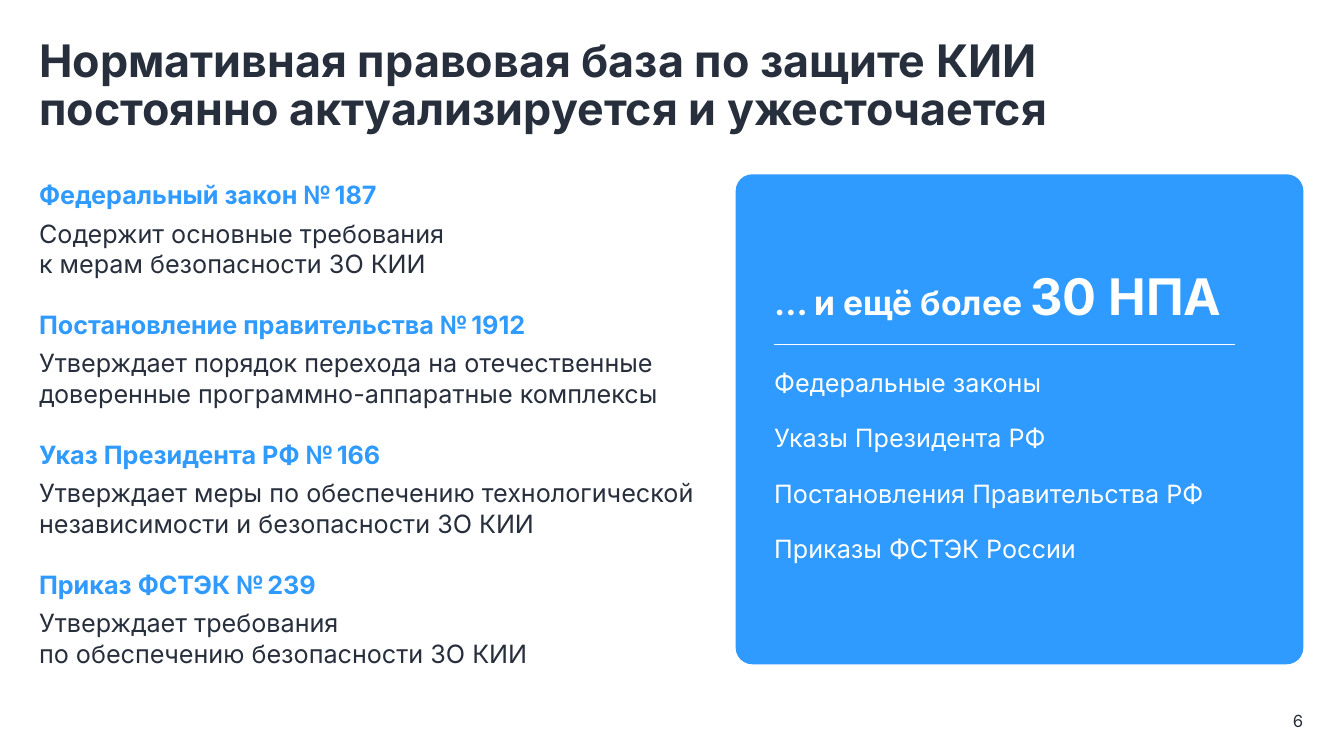
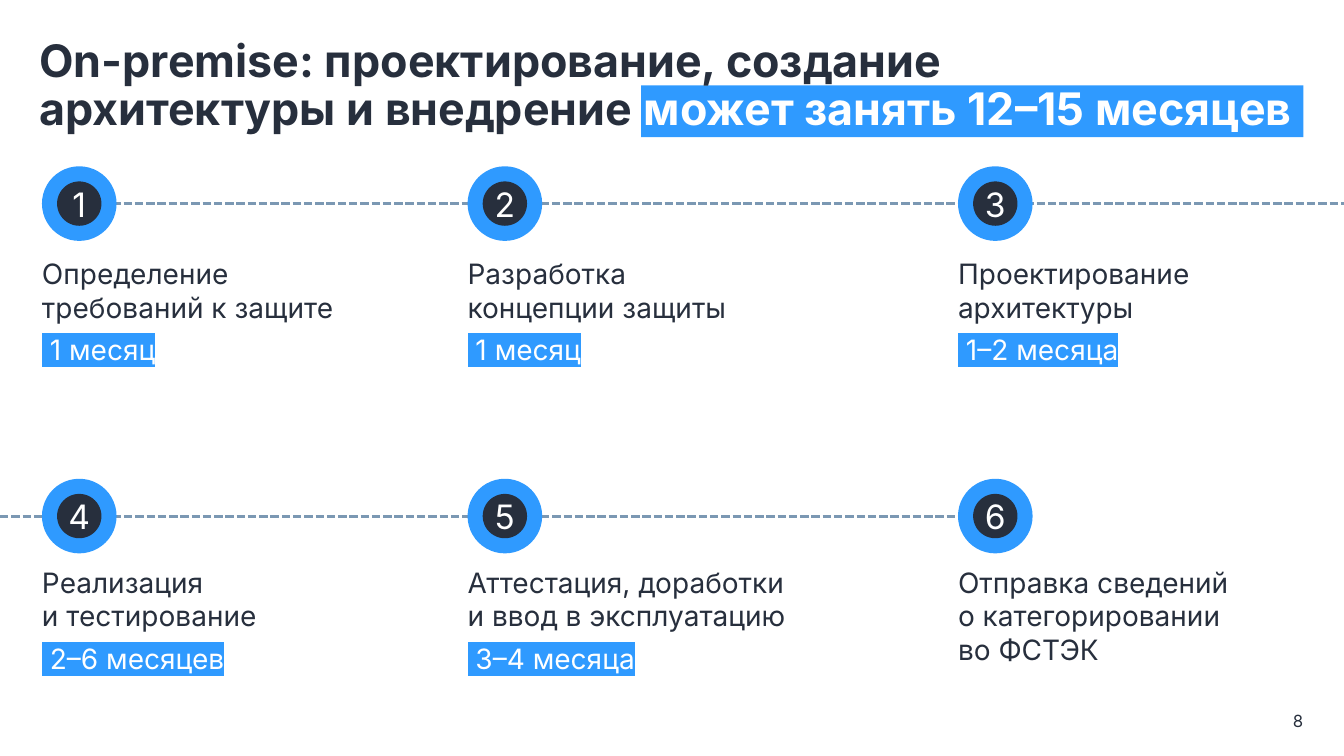
from copy import deepcopy

from lxml.etree import SubElement
from pptx import Presentation
from pptx.dml.color import RGBColor
from pptx.enum.dml import MSO_LINE
from pptx.enum.shapes import MSO_CONNECTOR, MSO_SHAPE as Preset
from pptx.enum.text import MSO_ANCHOR as Anchor, MSO_AUTO_SIZE as AutoSize, PP_ALIGN as Align
from pptx.oxml.ns import qn
from pptx.util import Pt

FONT = "Inter"
BLUE = RGBColor(0x2F, 0x9A, 0xFF)
DARK = RGBColor(0x27, 0x2F, 0x3D)
WHITE = RGBColor(0xFF, 0xFF, 0xFF)
STEEL = RGBColor(0x7B, 0x98, 0xB3)

SLIDE_WIDTH, SLIDE_HEIGHT = 960, 540
TITLE_BOX = (28, 26, 910, 73.5)
NUMBER_BOX = (715, 507.5, 216, 14.5)

LAWS_TITLE = "Нормативная правовая база по защите КИИ\nпостоянно актуализируется и ужесточается"
LAWS = [
    ("Федеральный закон №", "187",
     "Содержит основные требования\nк мерам безопасности ЗО КИИ"),
    ("Постановление правительства №", "1912",
     "Утверждает порядок перехода на отечественные доверенные программно-аппаратные комплексы"),
    ("Указ Президента РФ №", "166",
     "Утверждает меры по обеспечению технологической независимости и безопасности ЗО КИИ"),
    ("Приказ ФСТЭК №", "239",
     "Утверждает требования\nпо обеспечению безопасности ЗО КИИ"),
]
MORE_LEAD, MORE_COUNT = "… и ещё более ", "30 НПА"
MORE_ACTS = [
    "Федеральные законы",
    "Указы Президента РФ",
    "Постановления Правительства РФ",
    "Приказы ФСТЭК России",
]

STEPS_TITLE = "On-premise: проектирование, создание\nархитектуры и внедрение "
STEPS_ACCENT = "может занять 12–15 месяцев"
STEPS = [
    ("Определение\nтребований к защите", "1 месяц"),
    ("Разработка\nконцепции защиты", "1 месяц"),
    ("Проектирование\nархитектуры", "1–2 месяца"),
    ("Реализация\nи тестирование", "2–6 месяцев"),
    ("Аттестация, доработки\nи ввод в эксплуатацию", "3–4 месяца"),
    ("Отправка сведений\nо категорировании\nво ФСТЭК", None),
]
COLUMN_LEFTS = [30, 334, 684.3]
ROWS = [
    {"circle": 118.8, "text": 180, "line": (40, SLIDE_WIDTH)},
    {"circle": 342, "text": 400.3, "line": (0, 695)},
]
CIRCLE, DOT = 53.3, 31.7


def points(*lengths):
    return [Pt(length) for length in lengths]


def add_run(paragraph, text, size, color, bold=False, highlight=None):
    for index, line in enumerate(text.split("\n")):
        if index:
            paragraph.add_line_break()
            paragraph._p[-1].append(deepcopy(run._r.rPr))
        run = paragraph.add_run()
        run.text = line
        font = run.font
        font.name, font.size, font.bold = FONT, Pt(size), bold
        font.color.rgb = color
        if highlight is not None:
            properties = run._r.rPr
            mark = SubElement(properties, qn("a:highlight"))
            SubElement(mark, qn("a:srgbClr"), val=str(highlight))
            properties.find(qn("a:solidFill")).addnext(mark)


def prepare_frame(shape, insets=(0, 0, 0, 0), anchor=Anchor.TOP, wrap=True):
    frame = shape.text_frame
    frame.auto_size = AutoSize.NONE
    frame.word_wrap = wrap
    frame.vertical_anchor = anchor
    (frame.margin_left, frame.margin_top,
     frame.margin_right, frame.margin_bottom) = points(*insets)
    return frame


def add_text(slide, box, paragraphs, insets=(0, 0, 0, 0), align=Align.LEFT):
    frame = prepare_frame(slide.shapes.add_textbox(*points(*box)), insets)
    for index, (before, after, runs) in enumerate(paragraphs):
        paragraph = frame.add_paragraph() if index else frame.paragraphs[0]
        paragraph.alignment = align
        paragraph.space_before = Pt(before if index else 0)
        paragraph.space_after = Pt(after)
        for run in runs:
            add_run(paragraph, *run)


def add_filled(shapes, preset, box, color):
    shape = shapes.add_shape(preset, *points(*box))
    shape.shadow.inherit = False
    shape.fill.solid()
    shape.fill.fore_color.rgb = color
    shape.line.fill.background()
    return shape


def add_rule(slide, left, right, y, color, width, dash=None):
    connector = slide.shapes.add_connector(MSO_CONNECTOR.STRAIGHT, *points(left, y, right, y))
    connector.line.color.rgb = color
    connector.line.width = Pt(width)
    if dash is not None:
        connector.line.dash_style = dash
    SubElement(connector._element.spPr, qn("a:effectLst"))


def add_slide(presentation, number, title_runs):
    slide = presentation.slides.add_slide(presentation.slide_layouts[5])
    title = slide.shapes.title
    title.left, title.top, title.width, title.height = points(*TITLE_BOX)
    paragraph = prepare_frame(title, (0, 1.5, 0, 1.5)).paragraphs[0]
    paragraph.alignment = Align.LEFT
    paragraph.line_spacing = 0.9
    paragraph.space_before = Pt(0)
    for text, color in title_runs:
        add_run(paragraph, text, 32, color, True)
    add_text(slide, NUMBER_BOX, [(0, 0, [(str(number), 12, DARK)])], align=Align.RIGHT)
    return slide


def build_laws(presentation):
    slide = add_slide(presentation, 6, [(LAWS_TITLE, DARK)])
    card = add_filled(slide.shapes, Preset.ROUNDED_RECTANGLE, (525.5, 124.5, 405.5, 350), BLUE)
    card.adjustments[0] = 0.034

    paragraphs = []
    for name, number, summary in LAWS:
        heading = [(name, 18, BLUE, True), (" ", 10, BLUE, True), (number, 18, BLUE, True)]
        paragraphs += [(10, 6, heading), (0, 12, [(summary, 18, DARK)])]
    add_text(slide, (20.8, 124.5, 508, 360), paragraphs, (7.2, 3.6, 7.2, 3.6))

    left = 553
    lead = [(MORE_LEAD, 24, WHITE, True), (MORE_COUNT, 36, WHITE, True)]
    add_text(slide, (left, 189.5, 353, 44), [(0, 0, lead)])
    add_rule(slide, left, 882, 246.2, WHITE, 0.5)
    add_text(slide, (left, 262.3, 315, 142), [(0, 18, [(act, 18, WHITE)]) for act in MORE_ACTS])


def add_marker(slide, left, top, number):
    group = slide.shapes.add_group_shape()
    add_filled(group.shapes, Preset.OVAL, (left, top, CIRCLE, CIRCLE), BLUE)
    inset = (CIRCLE - DOT) / 2
    dot = add_filled(group.shapes, Preset.OVAL, (left + inset, top + inset, DOT, DOT), DARK)
    paragraph = prepare_frame(dot, anchor=Anchor.MIDDLE, wrap=False).paragraphs[0]
    paragraph.alignment = Align.CENTER
    add_run(paragraph, str(number), 24, WHITE)


def build_steps(presentation):
    slide = add_slide(presentation, 8, [(STEPS_TITLE, DARK), (STEPS_ACCENT, WHITE)])
    band = add_filled(slide.shapes, Preset.RECTANGLE, (458, 61, 473, 37), BLUE)
    slide.shapes.title._element.addprevious(band._element)

    for row in ROWS:
        add_rule(slide, *row["line"], row["circle"] + CIRCLE / 2, STEEL, 2, MSO_LINE.SQUARE_DOT)

    for index, (name, duration) in enumerate(STEPS):
        row_index, column = divmod(index, len(COLUMN_LEFTS))
        row, left = ROWS[row_index], COLUMN_LEFTS[column]
        add_marker(slide, left, row["circle"], index + 1)
        paragraphs = [(0, 6, [(name, 20, DARK)])]
        if duration:
            paragraphs.append((0, 6, [(" " + duration, 20, WHITE, False, BLUE)]))
        add_text(slide, (left, row["text"], 270, 86), paragraphs, (0, 3.6, 7.2, 3.6))


def main():
    presentation = Presentation()
    presentation.slide_width, presentation.slide_height = points(SLIDE_WIDTH, SLIDE_HEIGHT)
    build_laws(presentation)
    build_steps(presentation)
    presentation.save("out.pptx")


if __name__ == "__main__":
    main()
